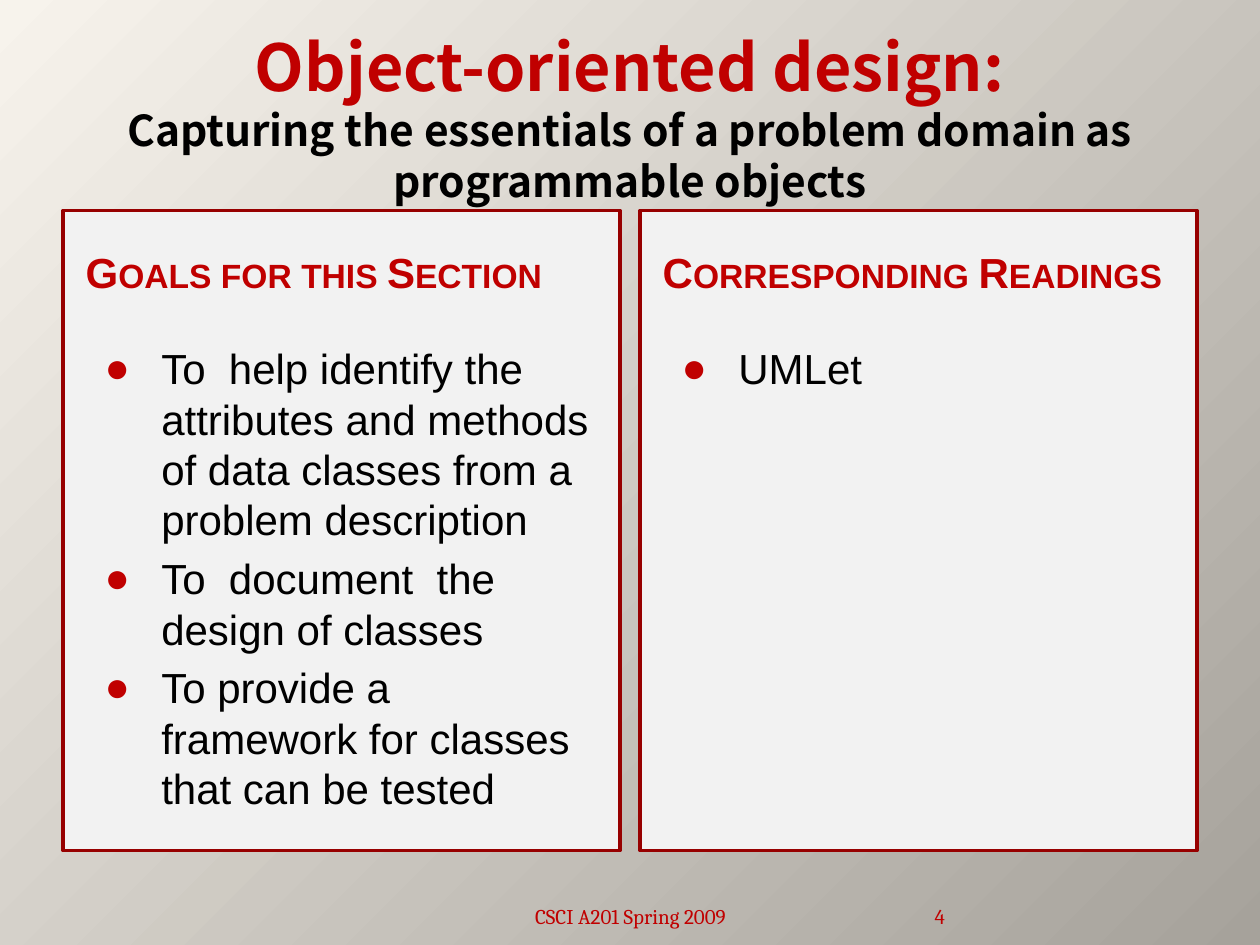
from lxml import etree
from pptx import Presentation
from pptx.dml.color import RGBColor
from pptx.enum.shapes import MSO_SHAPE
from pptx.enum.text import MSO_ANCHOR as ANCHOR, MSO_AUTO_SIZE as AUTO_SIZE, PP_ALIGN as ALIGN
from pptx.oxml import parse_xml
from pptx.oxml.ns import nsdecls, qn
from pptx.util import Inches, Pt

RED = RGBColor(0xC0, 0x00, 0x00)
DARK_RED = RGBColor(0x97, 0x00, 0x00)
PANEL = RGBColor(0xF2, 0xF2, 0xF2)
BLACK = RGBColor(0x00, 0x00, 0x00)
TITLE_FONT, BODY_FONT, FOOTER_FONT = "Noto Sans CJK SC", "Arial", "Cambria"


class SlideBuilder:
    def __init__(self, prs, layout):
        self.slide = prs.slides.add_slide(prs.slide_layouts[layout])
        self.shapes = self.slide.shapes

    def background(self, start, end):
        bg = parse_xml(
            f'<p:bg {nsdecls("p", "a")}><p:bgPr><a:gradFill rotWithShape="1"><a:gsLst>'
            f'<a:gs pos="0"><a:srgbClr val="{start}"/></a:gs>'
            f'<a:gs pos="100000"><a:srgbClr val="{end}"/></a:gs></a:gsLst>'
            '<a:path path="circle"><a:fillToRect r="100000" b="100000"/></a:path>'
            '</a:gradFill><a:effectLst/></p:bgPr></p:bg>')
        self.slide.element.cSld.insert(0, bg)

    def panel(self, *box):
        sp = self.shapes.add_shape(MSO_SHAPE.RECTANGLE, *map(Inches, box))
        sp.shadow.inherit = False
        sp.fill.solid()
        sp.fill.fore_color.rgb = PANEL
        sp.line.color.rgb = DARK_RED
        sp.line.width = Pt(2)
        self.shapes._spTree.insert(2, sp._element)  # behind the placeholders

    def placeholder(self, idx, box, anchor, fill=None):
        sp = self.slide.placeholders[idx]
        sp.left, sp.top, sp.width, sp.height = map(Inches, box)
        if fill is not None:
            sp.fill.solid()
            sp.fill.fore_color.rgb = fill
        tf = sp.text_frame
        tf.word_wrap = True
        tf.auto_size = AUTO_SIZE.NONE
        tf.vertical_anchor = anchor
        return tf

    def style(self, run, font, size, color, bold=False):
        run.font.name = font
        run.font.size = Pt(size)
        run.font.color.rgb = color
        run.font.bold = bold

    def title(self, heading, subtitle, box):
        tf = self.placeholder(0, box, ANCHOR.MIDDLE)
        tf.text = f"{heading}\v{subtitle}"
        p = tf.paragraphs[0]
        p.alignment = ALIGN.CENTER
        p.line_spacing = 1.0
        for r, size, color in zip(p.runs, (36.9, 24.3), (RED, BLACK)):
            self.style(r, TITLE_FONT, size, color, bold=True)

    def heading(self, idx, text, box):
        tf = self.placeholder(idx, box, ANCHOR.MIDDLE, PANEL)
        tf.text = text
        p = tf.paragraphs[0]
        p.space_before = Pt(0)
        r = p.runs[0]
        self.style(r, BODY_FONT, 24, RED, bold=True)
        r.font._element.set("cap", "small")

    def bullets(self, idx, items, box, fill=None):
        tf = self.placeholder(idx, box, ANCHOR.TOP, fill)
        tf.text = "\n".join(items)
        for i, p in enumerate(tf.paragraphs):
            p.space_before = Pt(4.8 if i else 0)
            p.line_spacing = 1.0
            pPr = p._p.get_or_add_pPr()
            pPr.set("marL", str(Inches(0.6)))
            pPr.set("indent", str(Inches(-0.45)))
            color = etree.SubElement(pPr, qn("a:buClr"))
            etree.SubElement(color, qn("a:srgbClr"), val=str(RED))
            etree.SubElement(pPr, qn("a:buFont"), typeface=BODY_FONT)
            etree.SubElement(pPr, qn("a:buChar"), char="●")
            self.style(p.runs[0], BODY_FONT, 24, BLACK)

    def footer(self, text, box, align, side_inset=0.1):
        tf = self.shapes.add_textbox(*map(Inches, box)).text_frame
        tf.word_wrap = True
        tf.vertical_anchor = ANCHOR.BOTTOM
        tf.margin_left = tf.margin_right = Inches(side_inset)
        tf.text = text
        p = tf.paragraphs[0]
        p.alignment = align
        self.style(p.runs[0], FOOTER_FONT, 12, RED)


def main():
    prs = Presentation()
    prs.slide_width, prs.slide_height = Inches(10), Inches(7.5)
    s = SlideBuilder(prs, layout=4)  # comparison layout
    s.background("F7F3EC", "A6A29B")
    s.title("Object-oriented design:",
            "Capturing the essentials of a problem domain as programmable objects",
            (0.5, 0.3, 9, 1.25))

    # Two columns: panel, heading and list
    columns = [
        ("Goals for this Section",
         ["To  help identify the attributes and methods of data classes"
          " from a problem description",
          "To  document  the design of classes",
          "To provide a framework for classes that can be tested"], PANEL),
        ("Corresponding Readings", ["UMLet"], None),
    ]
    for i, (heading, items, fill) in enumerate(columns):
        left = 0.5 + 4.58 * i
        s.panel(left, 1.67, 4.42, 5.08)
        s.heading(1 + 2 * i, heading, (left + 0.08, 1.75, 4.25, 0.82))
        s.bullets(2 + 2 * i, items, (left + 0.08, 2.67, 4.25, 4), fill)

    # Footer and slide number
    s.footer("CSCI A201 Spring 2009", (3.42, 7.02, 3.17, 0.4), ALIGN.CENTER)
    s.footer("4", (6.67, 7.02, 0.83, 0.4), ALIGN.RIGHT, side_inset=0)
    prs.save("out.pptx")


if __name__ == "__main__":
    main()
